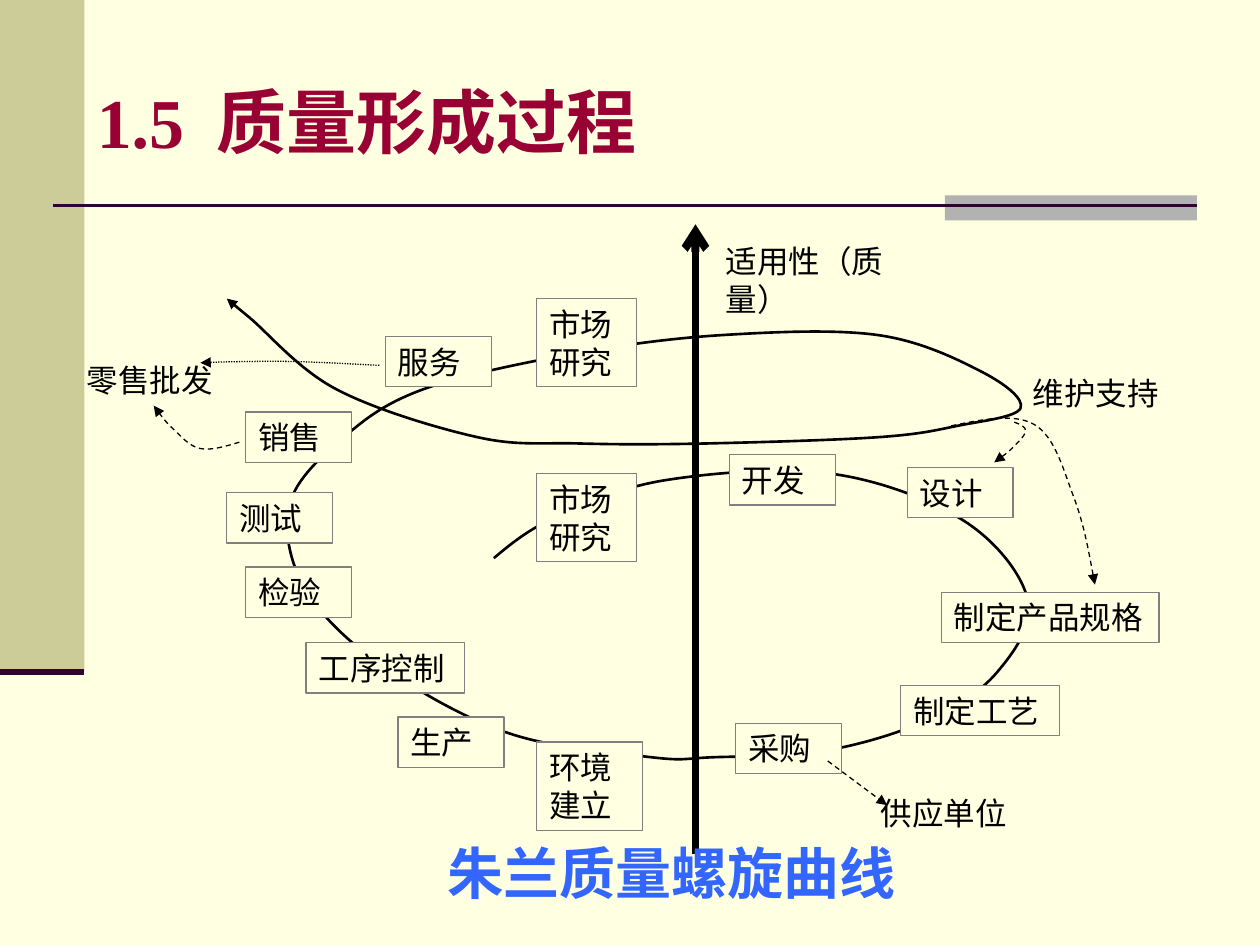
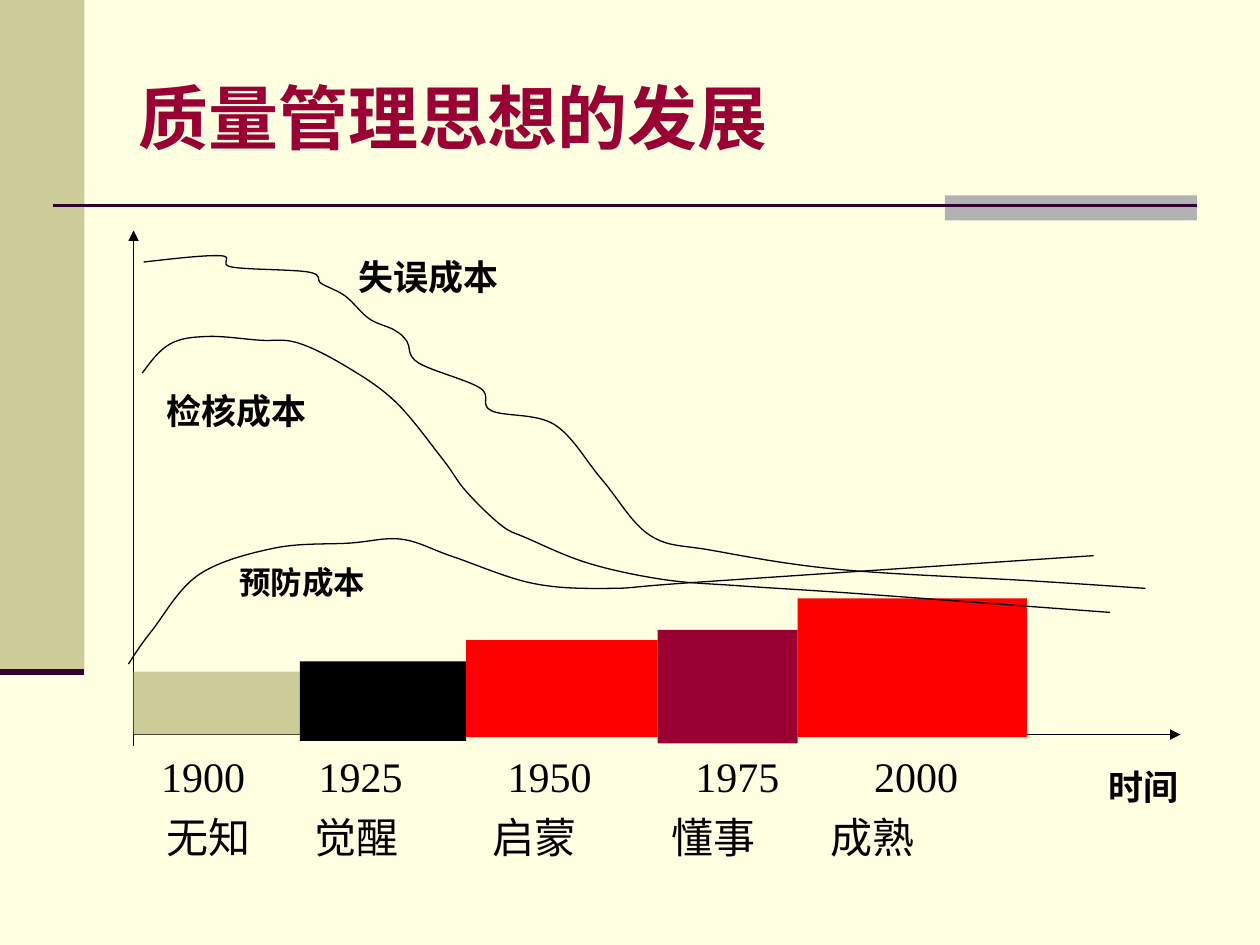
from dataclasses import dataclass

from lxml.etree import SubElement
from pptx import Presentation
from pptx.dml.color import RGBColor
from pptx.enum.dml import MSO_LINE
from pptx.enum.shapes import MSO_CONNECTOR, MSO_SHAPE
from pptx.enum.text import MSO_ANCHOR, PP_ALIGN
from pptx.oxml.ns import qn
from pptx.util import Emu, Pt

EMU_PER_PX = 9144  # 100 px to the inch
RECTANGLE = MSO_SHAPE.RECTANGLE
STRAIGHT = MSO_CONNECTOR.STRAIGHT
DASH, DOT = MSO_LINE.DASH, MSO_LINE.ROUND_DOT
TOP, MIDDLE = MSO_ANCHOR.TOP, MSO_ANCHOR.MIDDLE
LEFT = PP_ALIGN.LEFT


@dataclass(frozen=True)
class Theme:
    paper: str = "FFFFE1"
    sand: str = "CCCC99"
    grey: str = "B2B2B2"
    border: str = "808080"
    plum: str = "330033"
    wine: str = "990033"
    red: str = "FF0000"
    blue: str = "3366FF"
    ink: str = "000000"
    sans: str = "Arial"
    serif: str = "Times New Roman"
    title: int = 40
    caption: int = 32
    scale: int = 24
    label: int = 20
    body: int = 18
    hairline: float = 0.75
    rule: float = 1.5
    edge: float = 3.5
    axis: float = 4.5


THEME = Theme()


def px(value):
    return Emu(round(value * EMU_PER_PX))


def colour(value):
    return RGBColor.from_string(value)


def smooth_controls(points):
    """Yield the two controls and the end of each segment of a smooth curve."""
    def step(index):
        before, after = points[index - 1], points[index + 1]
        return [(b - a) / 6 for a, b in zip(before, after)]

    last = len(points) - 1
    for index in range(last):
        start, end = points[index], points[index + 1]
        first = second = None
        if index > 0:
            first = [p + d for p, d in zip(start, step(index))]
        if index + 1 < last:
            second = [p - d for p, d in zip(end, step(index + 1))]
        first = first or [(p + c) / 2 for p, c in zip(start, second)]
        second = second or [(p + c) / 2 for p, c in zip(end, first)]
        yield first, second, end


class Deck:
    def __init__(self, theme):
        self.theme = theme
        self.presentation = Presentation()
        self.presentation.slide_width = px(1000)
        self.presentation.slide_height = px(750)
        self.slide = None

    def new_slide(self, title, area, tabs=()):
        theme = self.theme
        self.slide = self.presentation.slides.add_slide(self.presentation.slide_layouts[6])
        background = self.slide.background.fill
        background.solid()
        background.fore_color.rgb = colour(theme.paper)
        # Side band, accent block and rules
        self.rectangle((0, 0, 67, 533), theme.sand)
        self.rectangle((750, 155, 200, 20), theme.grey)
        self.line((42, 163), (950, 163), theme.plum, theme.rule)
        self.line((0, 533), (67, 533), theme.plum, theme.edge)
        self.text(title, area, theme.title, theme.serif, theme.wine,
                  bold=True, anchor=MIDDLE, tabs=tabs)

    def rectangle(self, area, fill, border=None):
        shape = self.slide.shapes.add_shape(RECTANGLE, *map(px, area))
        shape.shadow.inherit = False
        shape.fill.solid()
        shape.fill.fore_color.rgb = colour(fill)
        if border:
            self.stroke(shape, border, self.theme.hairline)
        else:
            shape.line.fill.background()
        return shape

    def stroke(self, shape, ink, width, dash=None, arrow=None):
        shape.line.fill.solid()
        shape.line.fill.fore_color.rgb = colour(ink)
        formats = {"width": Pt(width), "dash_style": dash}
        for name, value in formats.items():
            if value is not None:
                setattr(shape.line, name, value)
        if arrow:
            outline = shape.element.spPr.find(qn("a:ln"))
            SubElement(outline, qn("a:tailEnd"), type=arrow)

    def line(self, start, end, ink, width, dash=None, arrow=None):
        connector = self.slide.shapes.add_connector(STRAIGHT, *map(px, (*start, *end)))
        self.stroke(connector, ink, width, dash, arrow)
        SubElement(connector.element.spPr, qn("a:effectLst"))

    def curve(self, points, width, dash=None, arrow=None):
        points = [(px(x), px(y)) for x, y in points]
        builder = self.slide.shapes.build_freeform(*points[0])
        builder.add_line_segments(points[1:], close=False)
        shape = builder.convert_to_shape()
        shape.shadow.inherit = False
        shape.fill.background()
        self.stroke(shape, self.theme.ink, width, dash, arrow)
        # Bend each straight segment
        segments = list(shape.element.iter(qn("a:lnTo")))
        for segment, corners in zip(segments, smooth_controls(points)):
            bend = segment.makeelement(qn("a:cubicBezTo"))
            for x, y in corners:
                SubElement(bend, qn("a:pt"), x=str(round(x - shape.left)),
                           y=str(round(y - shape.top)))
            segment.getparent().replace(segment, bend)

    def fill_text(self, shape, text, size, face, ink, bold=False, anchor=TOP,
                  wrap=True, inset=True, tabs=()):
        frame = shape.text_frame
        side, end = (px(10), px(5)) if inset else (0, 0)
        formats = {"word_wrap": wrap, "vertical_anchor": anchor,
                   "margin_left": side, "margin_right": side,
                   "margin_top": end, "margin_bottom": end}
        for name, value in formats.items():
            setattr(frame, name, value)
        paragraph = frame.paragraphs[0]
        paragraph.alignment = LEFT
        if tabs:
            properties = paragraph._p.get_or_add_pPr()
            tab_list = SubElement(properties, qn("a:tabLst"))
            for position in tabs:
                SubElement(tab_list, qn("a:tab"), pos=str(px(position)), algn="l")
        run = paragraph.add_run()
        run.text = text
        for name, value in {"size": Pt(size), "name": face, "bold": bold}.items():
            setattr(run.font, name, value)
        run.font.color.rgb = colour(ink)

    def text(self, text, area, size, face, ink, **options):
        shape = self.slide.shapes.add_textbox(*map(px, area))
        self.fill_text(shape, text, size, face, ink, **options)

    def step_box(self, text, area):
        theme = self.theme
        shape = self.rectangle(area, theme.paper, theme.border)
        self.fill_text(shape, text, theme.body, theme.sans, theme.ink)


def build_spiral_slide(deck):
    theme = deck.theme
    deck.new_slide("1.5\t质量形成过程", (67, 60, 843, 72), tabs=[95])

    # Fitness axis and quality spiral
    deck.line((552, 678), (552, 178), theme.ink, theme.axis, arrow="arrow")
    spiral = [
        (392, 443), (442, 410), (529, 381), (660, 376), (766, 414), (816, 477),
        (791, 534), (735, 572), (654, 596), (566, 601), (517, 601), (404, 582),
        (304, 529), (242, 467), (230, 400), (273, 347), (336, 309), (454, 281),
        (573, 266), (697, 266), (779, 295), (810, 324), (760, 338), (697, 347),
        (560, 352), (460, 352), (379, 347), (267, 309), (198, 252), (180, 237)]
    deck.curve(spiral, theme.rule, arrow="triangle")

    # Steps along the spiral
    short, long, low, tall = 84, 126, 40, 70
    steps = [
        ("设计", 720, 371, short, low), ("环境建立", 426, 589, short, tall),
        ("生产", 316, 569, short, low), ("工序控制", 243, 510, long, low),
        ("检验", 195, 450, short, low), ("测试", 180, 391, short, low),
        ("服务", 306, 267, short, low), ("制定工艺", 715, 544, long, low),
        ("采购", 584, 574, short, low), ("开发", 579, 361, short, low),
        ("制定产品规格", 747, 470, 173, low), ("市场研究", 426, 237, 79, tall),
        ("市场研究", 426, 376, 79, tall), ("销售", 195, 327, short, low)]
    for name, *area in steps:
        deck.step_box(name, area)

    # Outside parties and their links
    deck.line((657, 604), (704, 639), theme.ink, theme.hairline, DASH, "triangle")
    links = [
        ([(190, 351), (159, 356), (138, 341), (122, 322)], DASH),
        ([(755, 338), (821, 337), (852, 394), (869, 464)], DASH),
        ([(301, 290), (235, 287), (192, 287), (159, 288)], DOT),
        ([(805, 335), (814, 342), (804, 355), (789, 367)], DASH)]
    for points, dash in links:
        deck.curve(points, theme.hairline, dash, "triangle")
    for name, left, top in [("供应单位", 689, 625), ("零售批发", 59, 282), ("维护支持", 810, 292)]:
        deck.text(name, (left, top, 120, 40), theme.body, theme.sans, theme.ink, wrap=False)
    deck.text("适用性（质量）", (566, 187, 172, 70), theme.body, theme.sans, theme.ink)

    # Caption
    deck.text("朱兰质量螺旋曲线", (355, 666, 362, 53), theme.caption, theme.sans, theme.blue,
              bold=True, anchor=MIDDLE, inset=False)


def build_history_slide(deck):
    theme = deck.theme
    deck.new_slide("质量管理思想的发展", (100, 30, 850, 125))

    # Time scale
    scales = [
        (["1900", "1925", "1950", "1975", "2000"], (118, 591, 732, 50), [125, 275, 424, 566]),
        (["无知", "觉醒", "启蒙", "懂事", "成熟"], (122, 639, 705, 50), [118, 259, 401, 527])]
    for names, area, tabs in scales:
        deck.text("\t".join(names), area, theme.scale, theme.serif, theme.ink, tabs=tabs)

    # Axes
    for start, end in [((106, 592), (106, 183)), ((106, 583), (937, 583))]:
        deck.line(start, end, theme.ink, theme.hairline, arrow="triangle")

    # Stage blocks, side by side
    left = 106
    stages = [(533, 132, 50, theme.sand), (525, 132, 63, theme.ink), (508, 152, 77, theme.red),
              (500, 111, 90, theme.wine), (475, 182, 110, theme.red)]
    for top, width, height, fill in stages:
        deck.rectangle((left, top, width, height), fill)
        left += width

    # Cost curves
    failure = [
        (114, 208), (175, 203), (184, 212), (245, 216), (255, 225), (274, 235),
        (293, 253), (313, 262), (323, 271), (332, 288), (381, 308), (390, 326),
        (440, 337), (478, 381), (516, 425), (566, 437), (666, 452), (818, 461),
        (909, 467)]
    appraisal = [
        (113, 296), (135, 273), (165, 267), (206, 270), (236, 272), (275, 291),
        (314, 319), (351, 364), (370, 390), (398, 417), (418, 427), (467, 447),
        (527, 460), (588, 465), (679, 471), (840, 483), (881, 486)]
    prevention = [
        (102, 527), (121, 500), (158, 456), (218, 435), (278, 431), (319, 428),
        (360, 442), (423, 463), (484, 467), (555, 462), (868, 441)]
    for points in (failure, appraisal, prevention):
        deck.curve(points, theme.hairline)

    # Curve and axis labels
    labels = [("预防成本", (180, 442, 152, 40), theme.body),
              ("检核成本", (122, 304, 162, 44), theme.label),
              ("失误成本", (275, 198, 230, 44), theme.label),
              ("时间", (870, 603, 86, 44), theme.label)]
    for name, area, size in labels:
        deck.text(name, area, size, theme.serif, theme.ink, bold=True)


def main():
    deck = Deck(THEME)
    build_spiral_slide(deck)
    build_history_slide(deck)
    deck.presentation.save("out.pptx")


if __name__ == "__main__":
    main()
